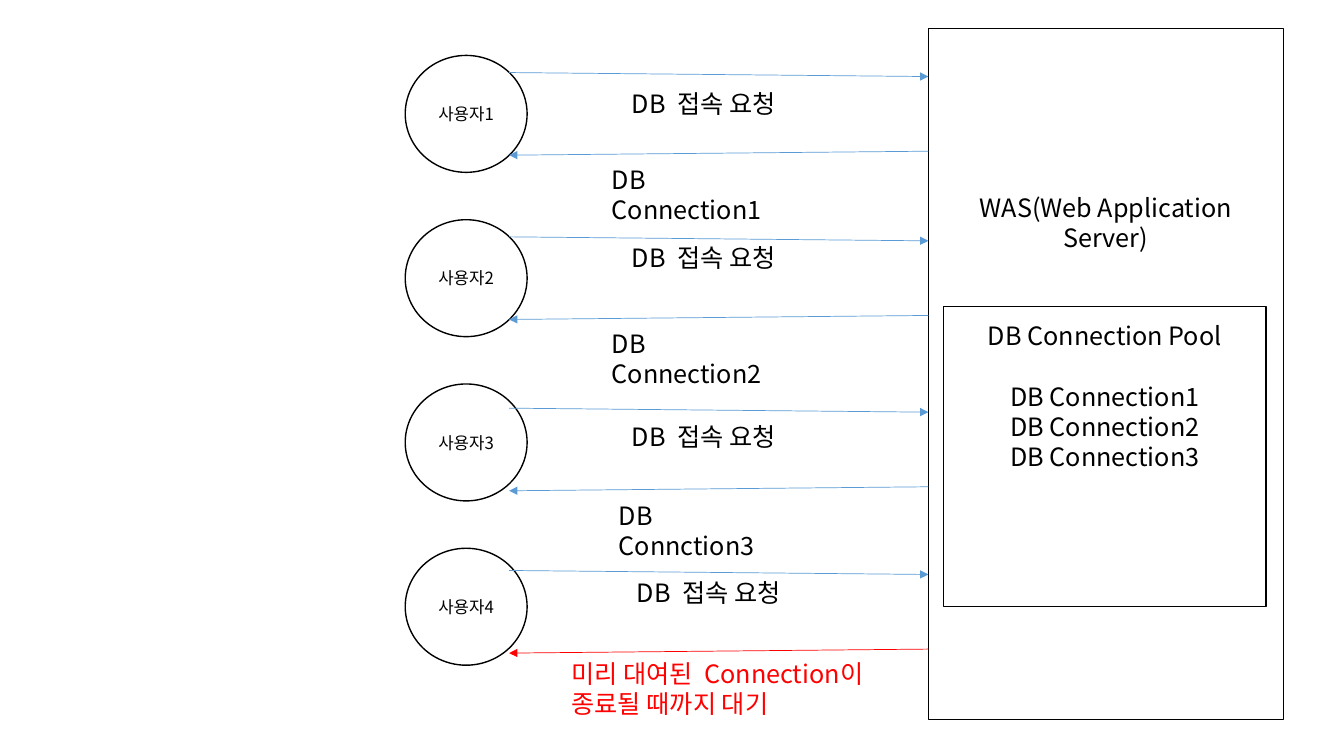
from dataclasses import dataclass
from lxml import etree
from pptx import Presentation, util as u
from pptx.dml.color import RGBColor
from pptx.enum import shapes as s, text as t
from pptx.oxml.ns import qn


@dataclass(frozen=True)
class Theme:
    font: str = "Noto Sans CJK KR"
    ink: str = "000000"
    flow: str = "5B9BD5"
    wait: str = "FF0000"
    small: int = 12
    large: int = 18
    edge: float = 1
    thin: float = 0.5


look = Theme()
deck = Presentation()
deck.slide_width, deck.slide_height = u.Inches(13.33), u.Inches(7.5)
slide = deck.slides.add_slide(deck.slide_layouts[6])


# All lengths are percent of the slide; parts are offset from their box
def span(x, y):
    return int(deck.slide_width * x / 100), int(deck.slide_height * y / 100)


def inner(box, x, y, w, h):
    return box[0] + x, box[1] + y, w, h


def area(box):
    return *span(*box[:2]), *span(*box[2:])


def ink(line, color, width):
    line.color.rgb = RGBColor.from_string(color)
    line.width = u.Pt(width)


def write(shape, lines, size, color=look.ink, frame=None, para=None):
    body = shape.text_frame
    for key, val in {"word_wrap": True, **(frame or {})}.items():
        setattr(body, key, val)
    body.text = "\n".join(lines)
    for par in body.paragraphs:
        for key, val in (para or {}).items():
            setattr(par, key, val)
        for run in par.runs:
            run.font.name, run.font.size = look.font, u.Pt(size)
            run.font.color.rgb = RGBColor.from_string(color)
            east = etree.SubElement(run.font._element, qn("a:ea"))
            east.set("typeface", look.font)
    return body


def shape(kind, box, lines, size, **frame):
    part = slide.shapes.add_shape(kind, *area(box))
    part.shadow.inherit = False
    part.fill.background()
    ink(part.line, look.ink, look.edge)
    return write(part, lines, size, frame=frame,
                 para={"alignment": t.PP_ALIGN.CENTER})


def label(box, lines, color=look.ink):
    part = slide.shapes.add_textbox(*area(box))
    write(part, lines, look.large, color,
          {"auto_size": t.MSO_AUTO_SIZE.SHAPE_TO_FIT_TEXT})


def arrow(start, end, color):
    part = slide.shapes.add_connector(
        s.MSO_CONNECTOR.STRAIGHT, *span(*start), *span(*end))
    ink(part.line, color, look.thin)
    tail = etree.SubElement(part.line._get_or_add_ln(), qn("a:tailEnd"))
    tail.set("type", "triangle")
    etree.SubElement(part._element.spPr, qn("a:effectLst"))


# Server with its connection pool
def server(box):
    top = t.MSO_ANCHOR.TOP
    shape(s.MSO_SHAPE.RECTANGLE, box, ["WAS(Web Application Server)"],
          look.large, vertical_anchor=top, margin_top=u.Inches(1.63))
    names = [f"DB Connection{n}" for n in range(1, 4)]
    pool = shape(s.MSO_SHAPE.RECTANGLE, inner(box, 1.13, 36.8, 24, 39.73),
                 ["DB Connection Pool", *names], look.large,
                 vertical_anchor=top, margin_top=u.Inches(0.14))
    pool.paragraphs[1].space_before = u.Pt(21.5)


# One user with a request arrow and the answer
def user(box, name, shift, ask, reply, lines, color, tone):
    x, y, w, h = box
    shape(s.MSO_SHAPE.OVAL, (x, y, 9.07, h), [name], look.small,
          vertical_anchor=t.MSO_ANCHOR.MIDDLE)
    near, far, tilt = x + 7.73, x + w, 0.53
    out, back = y + 2.27 + shift, y + 12.67 + shift
    arrow((near, out), (far, out + tilt), look.flow)
    arrow((far, back), (near, back + tilt), color)
    label(inner(box, *ask, 13.58, 5.33), ["DB  접속 요청"])
    label(inner(box, *reply, 5.33 * len(lines)), lines, tone)


server((69.08, 3.73, 26.4, 91.47))

# shift of arrows, request offset, reply offset and width, reply text, colours
calm = (look.flow, look.ink)
rows = [
    (0, (16.13, 3.73), (14.63, 13.73, 15), ["DB Connection1"], *calm),
    (0, (16.13, 2.27), (14.63, 13.73, 15), ["DB Connection2"], *calm),
    (0.93, (16.13, 4.27), (15.15, 14.67, 14), ["DB Connction3"], *calm),
    (0.67, (16.5, 3.2), (11.63, 13.87, 24.68),
     ["미리 대여된  Connection이", "종료될 때까지 대기"], look.wait, look.wait),
]
for n, row in enumerate(rows):
    user((30.15, 7.33 + 21.73 * n, 38.93, 15.47), f"사용자{n + 1}", *row)

deck.save("out.pptx")
